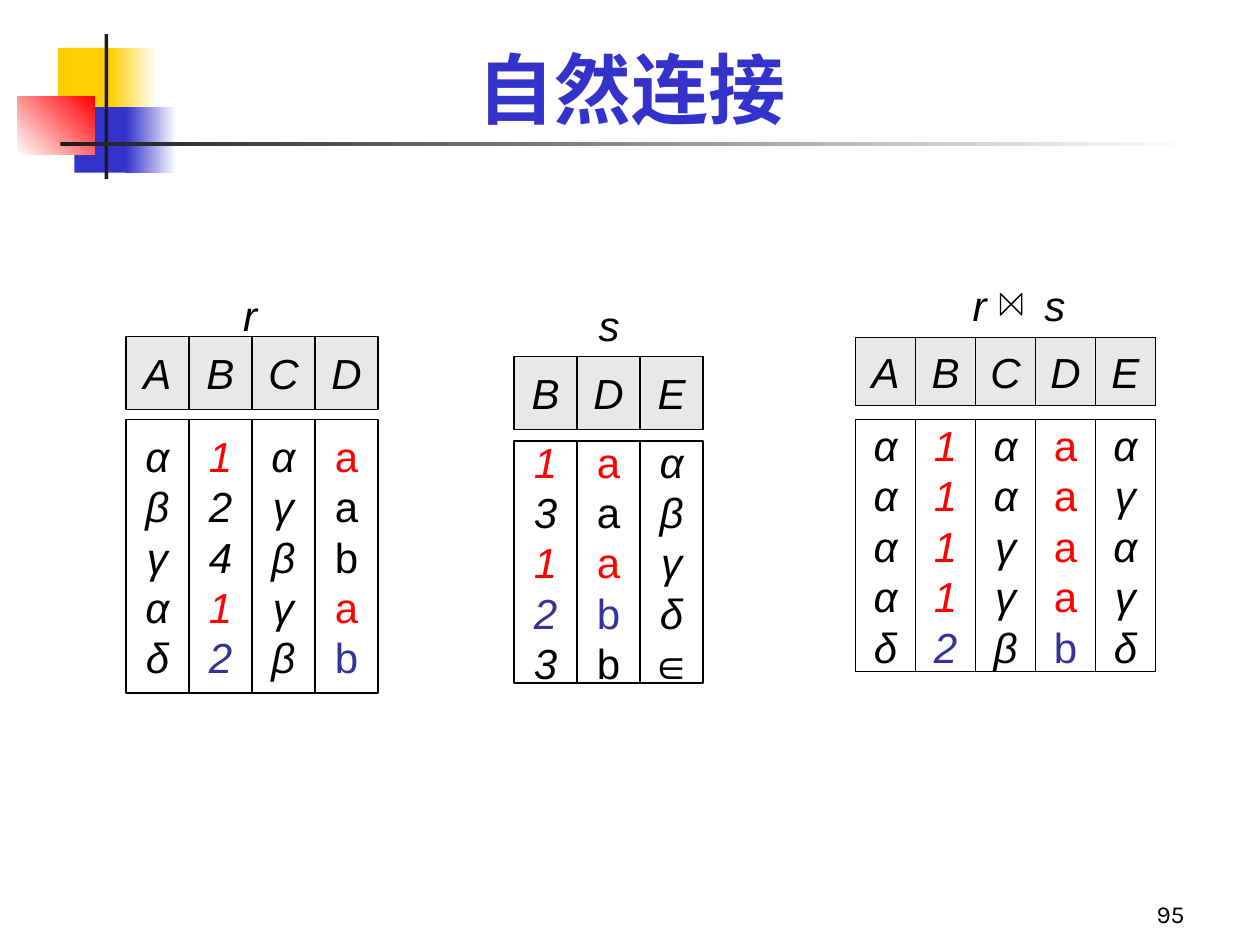
from lxml.etree import SubElement
from pptx import Presentation
from pptx.dml.color import RGBColor
from pptx.enum.shapes import MSO_SHAPE
from pptx.enum.text import MSO_ANCHOR, PP_ALIGN
from pptx.oxml.ns import qn
from pptx.util import Inches, Pt

COLORS = {
    "yellow": "FFCF01", "blue": "3333CC", "red": "FF0000", "navy": "333399",
    "dark": "1C1C1C", "header": "E8E8E8", "white": "FFFFFF", "black": "000000",
}


def color(name):
    return RGBColor.from_string(COLORS[name])


def add_box(left, top, width, height, fill, outlined=False, kind=MSO_SHAPE.RECTANGLE):
    """Add a shape; a (start, end) pair as fill gives a left-to-right gradient."""
    box = slide.shapes.add_shape(
        kind, Inches(left), Inches(top), Inches(width), Inches(height))
    box.shadow.inherit = False
    if isinstance(fill, tuple):
        box.fill.gradient()
        box.fill.gradient_angle = 0
        for stop, name, position in zip(box.fill.gradient_stops, fill, (0, 1)):
            stop.color.rgb = color(name)
            stop.position = position
    else:
        box.fill.solid()
        box.fill.fore_color.rgb = color(fill)
    if outlined:
        box.line.color.rgb = color("black")
        box.line.width = Pt(0.75)
    else:
        box.line.fill.background()
    return box


prs = Presentation()
prs.slide_width, prs.slide_height = Inches(10), Inches(7.5)
slide = prs.slides.add_slide(prs.slide_layouts[5])

# Corner ornament and rule under the title
add_box(0.46, 0.38, 0.48, 0.52, "yellow")
add_box(0.88, 0.38, 0.36, 0.52, ("yellow", "white"))
add_box(0.59, 0.85, 0.46, 0.52, "blue")
add_box(1, 0.85, 0.4, 0.52, ("blue", "white"))
red_block = add_box(0.14, 0.77, 0.61, 0.46, ("white", "red"))
red_block.fill.gradient_angle = 45
add_box(0.83, 0.27, 0.03, 1.15, "dark")
add_box(0.48, 1.13, 9, 0.03, ("dark", "white"))

title = slide.shapes.title
title.left, title.top = Inches(0.75), Inches(0.25)
title.width, title.height = Inches(8.52), Inches(0.86)
title.text_frame.text = "自然连接"
title.text_frame.vertical_anchor = MSO_ANCHOR.BOTTOM
heading = title.text_frame.paragraphs[0]
heading.alignment = PP_ALIGN.CENTER
heading.font.name = "Karla"
heading.font.size = Pt(44)
heading.font.bold = True
heading.font.color.rgb = color("blue")

# Relations: left, column width, header top and height, body top and height,
# colour of the shared attributes B and D in each row, columns
relations = [
    (1, 0.5, 2.67, 0.58, 3.33, 2.17,
     ["red", "black", "black", "red", "navy"],
     {"A": "αβγαδ", "B": "12412", "C": "αγβγβ", "D": "aabab"}),
    (4.08, 0.5, 2.83, 0.58, 3.5, 1.92,
     ["red", "black", "red", "navy", "black"],
     {"B": "13123", "D": "aaabb", "E": "αβγδ∈"}),
    (6.79, 2.38 / 5, 2.68, 0.54, 3.33, 2,
     ["red", "red", "red", "red", "navy"],
     {"A": "ααααδ", "B": "11112", "C": "ααγγβ", "D": "aaaab", "E": "αγαγδ"}),
]
for left, width, head_top, head_height, body_top, body_height, marks, columns in relations:
    for index, (attribute, values) in enumerate(columns.items()):
        x = left + index * width
        header = add_box(x, head_top, width, head_height, "header", outlined=True)
        body = add_box(x, body_top, width, body_height, "white", outlined=True)
        header.text_frame.text = attribute
        body.text_frame.text = "\n".join(values)
        row_colors = marks if attribute in "BD" else ["black"] * len(values)
        for cell, names in ((header, ["black"]), (body, row_colors)):
            cell.text_frame.word_wrap = False
            cell.text_frame.vertical_anchor = MSO_ANCHOR.MIDDLE
            for line, name in zip(cell.text_frame.paragraphs, names):
                line.alignment = PP_ALIGN.CENTER
                line.font.name = "Arial"
                line.font.size = Pt(24)
                line.font.italic = cell is header or attribute != "D"
                line.font.color.rgb = color(name)

# Relation names and slide number
labels = [
    ("r", 1.83, 2.25, 0.31, 0.5, MSO_ANCHOR.MIDDLE, PP_ALIGN.CENTER, "Arial", 24),
    ("s", 4.65, 2.33, 0.37, 0.5, MSO_ANCHOR.MIDDLE, PP_ALIGN.CENTER, "Arial", 24),
    ("r\ts", 7.62, 2.17, 1.25, 0.45, MSO_ANCHOR.TOP, PP_ALIGN.LEFT, "Arial", 24),
    ("95", 7.42, 6.92, 2.08, 0.5, MSO_ANCHOR.BOTTOM, PP_ALIGN.RIGHT, "Karla", 14),
]
for text, left, top, width, height, anchor, alignment, font, size in labels:
    label = slide.shapes.add_textbox(
        Inches(left), Inches(top), Inches(width), Inches(height))
    frame = label.text_frame
    frame.word_wrap = alignment != PP_ALIGN.CENTER
    frame.vertical_anchor = anchor
    frame.text = text
    line = frame.paragraphs[0]
    line.alignment = alignment
    if "\t" in text:
        tabs = SubElement(line._p.get_or_add_pPr(), qn("a:tabLst"))
        SubElement(tabs, qn("a:tab"), pos=str(Inches(0.57)), algn="l")
    line.font.name = font
    line.font.size = Pt(size)
    line.font.italic = font == "Arial"
    line.font.color.rgb = color("black")

join_sign = add_box(7.94, 2.33, 0.17, 0.17, "white", outlined=True,
                    kind=MSO_SHAPE.FLOWCHART_COLLATE)
join_sign.rotation = 270

prs.save("out.pptx")
